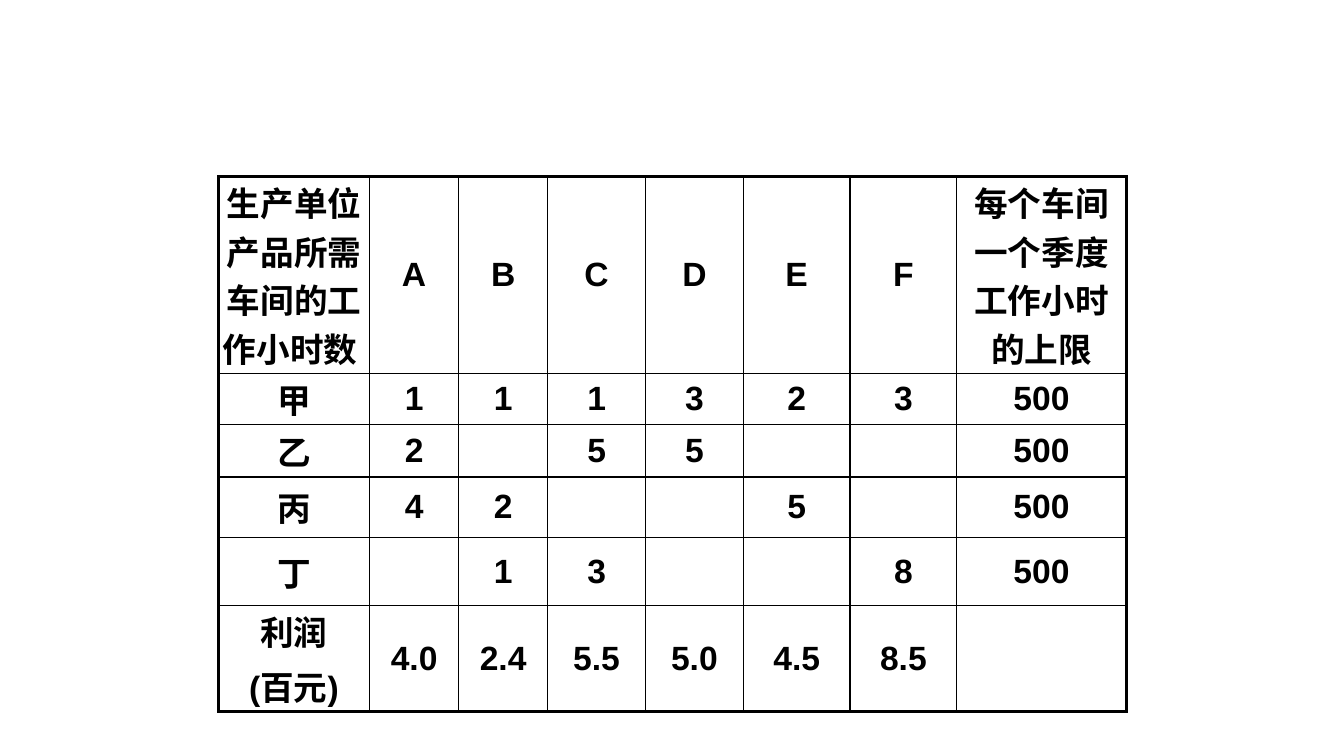
import dataclasses

import lxml.etree
import pptx
import pptx.dml.color
import pptx.enum.text
import pptx.oxml.ns
import pptx.util


@dataclasses.dataclass(frozen=True)
class Theme:
    ink: str = "000000"
    paper: str = "FFFFFF"
    font: str = "Arial"
    text_size: float = 24
    outer_line: float = 2.25
    inner_line: float = 1
    space_before: int = 20


def add_element(parent, name, **attributes):
    return lxml.etree.SubElement(parent, pptx.oxml.ns.qn(name), attributes)


class SlideBuilder:
    GRID_COLUMNS = 160
    GRID_ROWS = 90

    def __init__(self, deck, theme):
        self.theme = theme
        self.page = deck.slides.add_slide(deck.slide_layouts[6])
        self.column_unit = deck.slide_width / self.GRID_COLUMNS
        self.row_unit = deck.slide_height / self.GRID_ROWS

    def across(self, columns):
        return pptx.util.Emu(round(columns * self.column_unit))

    def down(self, rows):
        return pptx.util.Emu(round(rows * self.row_unit))

    def table(self, left, top, widths, heights, content):
        frame = self.page.shapes.add_table(
            len(heights), len(widths), self.across(left), self.down(top),
            self.across(sum(widths)), self.down(sum(heights)))
        table = frame.table
        table.first_row = False
        table.horz_banding = False
        for column, width in zip(table.columns, widths):
            column.width = self.across(width)
        for row, height in zip(table.rows, heights):
            row.height = self.down(height)
        last_row, last_column = len(heights) - 1, len(widths) - 1
        for row_index, texts in enumerate(content):
            for column_index, text in enumerate(texts):
                cell = table.cell(row_index, column_index)
                self.fill_cell(cell, text)
                self.border_cell(cell, {
                    "a:lnL": column_index == 0,
                    "a:lnR": column_index == last_column,
                    "a:lnT": row_index == 0,
                    "a:lnB": row_index == last_row,
                })
                cell.fill.solid()
                cell.fill.fore_color.rgb = pptx.dml.color.RGBColor.from_string(self.theme.paper)

    def fill_cell(self, cell, text):
        cell.margin_left = cell.margin_right = pptx.util.Inches(0.02)
        cell.margin_top = cell.margin_bottom = pptx.util.Inches(0.01)
        cell.vertical_anchor = pptx.enum.text.MSO_ANCHOR.MIDDLE
        cell.text_frame.text = text
        for para in cell.text_frame.paragraphs:
            para.alignment = pptx.enum.text.PP_ALIGN.CENTER
            spacing = add_element(para._p.get_or_add_pPr(), "a:spcBef")
            add_element(spacing, "a:spcPct", val=str(self.theme.space_before * 1000))
            for span in para.runs:
                span.font.name = self.theme.font
                span.font.size = pptx.util.Pt(self.theme.text_size)
                span.font.bold = True
                span.font.color.rgb = pptx.dml.color.RGBColor.from_string(self.theme.ink)

    def border_cell(self, cell, edges):
        properties = cell._tc.get_or_add_tcPr()
        for name, is_outer in edges.items():
            weight = self.theme.outer_line if is_outer else self.theme.inner_line
            line = add_element(properties, name, w=str(pptx.util.Pt(weight)))
            add_element(add_element(line, "a:solidFill"), "a:srgbClr", val=self.theme.ink)


WORKSHOP_HOURS = [
    ["生产单位产品所需车间的工作小时数 ", "A", "B", "C", "D", "E", "F",
     "每个车间一个季度工作小时的上限"],
    ["甲", "1", "1", "1", "3", "2", "3", "500"],
    ["乙", "2", "", "5", "5", "", "", "500"],
    ["丙", "4", "2", "", "", "5", "", "500"],
    ["丁", "", "1", "3", "", "", "8", "500"],
    ["利润\n(百元)", "4.0", "2.4", "5.5", "5.0", "4.5", "8.5", ""],
]


def main():
    deck = pptx.Presentation()
    deck.slide_width = pptx.util.Inches(13.33)
    deck.slide_height = pptx.util.Inches(7.5)
    builder = SlideBuilder(deck, Theme())
    builder.table(
        left=26, top=21,
        widths=[18, 10.6, 10.6, 11.65, 11.65, 12.7, 12.7, 20.2],
        heights=[20.8, 6, 6.3, 7.2, 8.1, 11.2],
        content=WORKSHOP_HOURS)
    deck.save("out.pptx")


if __name__ == "__main__":
    main()
